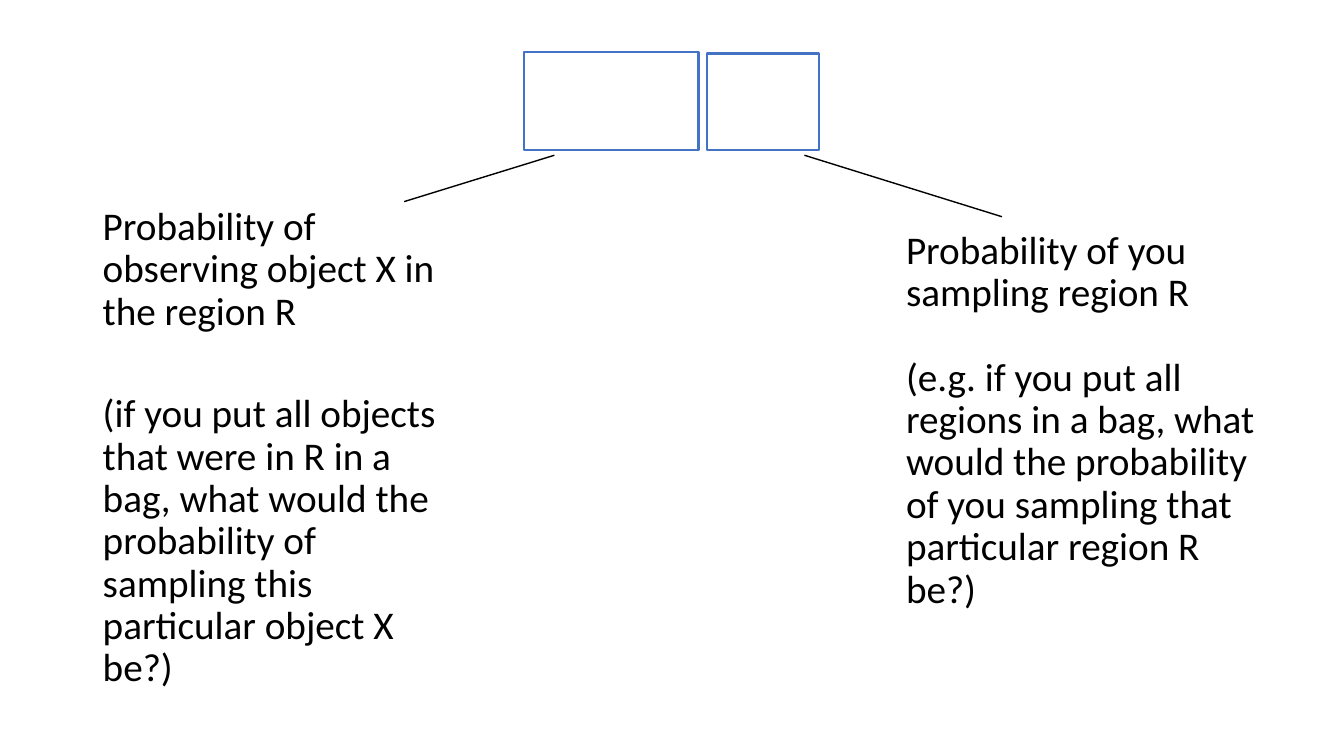
from dataclasses import dataclass

from lxml import etree
from pptx import Presentation
from pptx.dml.color import RGBColor
from pptx.enum.shapes import MSO_CONNECTOR, MSO_SHAPE
from pptx.enum.text import MSO_ANCHOR, MSO_AUTO_SIZE, PP_ALIGN
from pptx.oxml.ns import qn
from pptx.util import Pt

STRAIGHT = MSO_CONNECTOR.STRAIGHT
RECTANGLE = MSO_SHAPE.RECTANGLE
TOP = MSO_ANCHOR.TOP
NO_FIT = MSO_AUTO_SIZE.NONE
LEFT = PP_ALIGN.LEFT


@dataclass(frozen=True)
class Theme:
    font: str = "Calibri"
    size: int = 28
    ink: RGBColor = RGBColor(0x00, 0x00, 0x00)
    frame: RGBColor = RGBColor(0x44, 0x72, 0xC4)


THEME = Theme()

# Content
LIKELIHOOD = [
    "Probability of observing object X in the region R",
    "(if you put all objects that were in R in a bag, what would the "
    "probability of sampling this particular object X be?)",
]
PRIOR = [
    "Probability of you sampling region R",
    "(e.g. if you put all regions in a bag, what would the probability "
    "of you sampling that particular region R be?)",
]

# Geometry in points: boxes are left, top, width, height
SLIDE_SIZE = (960, 540)
LIKELIHOOD_BOX = (66.2, 144, 270, 352)
PRIOR_BOX = (640.1, 161.3, 270, 342.7)
TERM_FRAMES = [(374.4, 37.4, 124.6, 69.9), (504.7, 38.2, 80.6, 69.1)]
LEADERS = [(288.7, 144, 396, 110.9), (715.7, 154.8, 574.6, 110.9)]


def pts(values):
    return [Pt(v) for v in values]


def write(shape, paragraphs, gap, theme=THEME):
    """Fill a shape with unbulleted paragraphs, set apart by gap points."""
    tf = shape.text_frame
    tf.word_wrap = True
    tf.auto_size = NO_FIT
    tf.vertical_anchor = TOP
    for i, text in enumerate(paragraphs):
        p = tf.add_paragraph() if i else tf.paragraphs[0]
        p.alignment = LEFT
        p.line_spacing = 0.9
        p.space_before = Pt(gap if i else 10)
        p.space_after = Pt(0)
        pPr = p._p.get_or_add_pPr()
        pPr.set("marL", "0")
        pPr.set("indent", "0")
        etree.SubElement(pPr, qn("a:buNone"))
        r = p.add_run()
        r.text = text
        r.font.name = theme.font
        r.font.size = Pt(theme.size)
        r.font.color.rgb = theme.ink


def main():
    prs = Presentation()
    prs.slide_width, prs.slide_height = pts(SLIDE_SIZE)
    s = prs.slides.add_slide(prs.slide_layouts[1])
    title = s.shapes.title
    title._element.getparent().remove(title._element)

    # Explanations
    body = s.placeholders[1]
    body.left, body.top, body.width, body.height = pts(LIKELIHOOD_BOX)
    write(body, LIKELIHOOD, gap=43)
    write(s.shapes.add_textbox(*pts(PRIOR_BOX)), PRIOR, gap=30)

    # Leader lines from the explanations to the terms
    for ends in LEADERS:
        line = s.shapes.add_connector(STRAIGHT, *pts(ends))
        line.line.color.rgb = THEME.ink
        line.line.width = Pt(1)
        etree.SubElement(line._element.spPr, qn("a:effectLst"))

    # Frames around the terms
    for box in TERM_FRAMES:
        sp = s.shapes.add_shape(RECTANGLE, *pts(box))
        sp.shadow.inherit = False
        sp.fill.background()
        sp.line.color.rgb = THEME.frame
        sp.line.width = Pt(1.5)

    prs.save("out.pptx")


if __name__ == "__main__":
    main()
